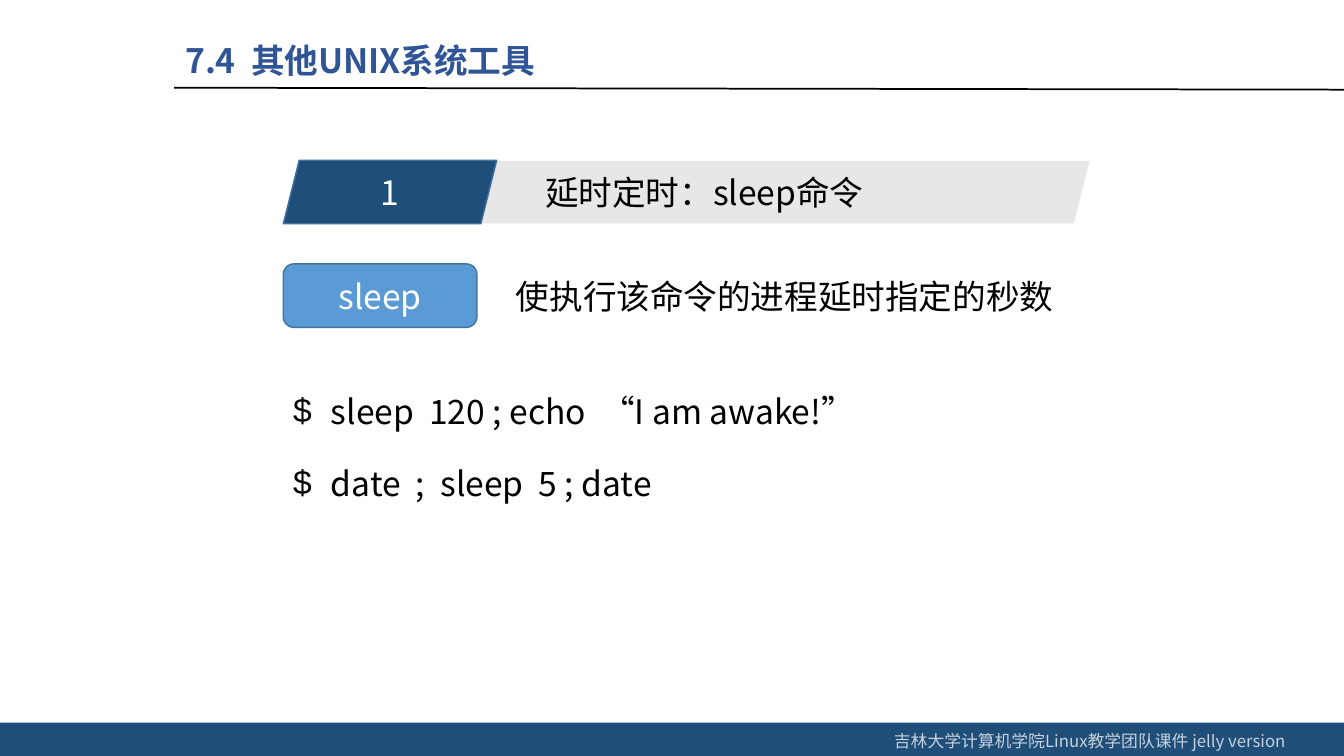
from dataclasses import dataclass
from typing import Optional

import pptx
import pptx.dml.color
import pptx.enum.shapes
import pptx.enum.text
import pptx.oxml
import pptx.oxml.ns
import pptx.util
from pptx.dml.color import RGBColor
from pptx.enum.shapes import MSO_SHAPE
from pptx.enum.text import MSO_ANCHOR, PP_ALIGN
from pptx.util import Cm, Pt

FONT = "Noto Sans CJK SC"
WHITE = RGBColor(0xFF, 0xFF, 0xFF)
BLACK = RGBColor(0x00, 0x00, 0x00)
NAVY = RGBColor(0x1F, 0x4E, 0x79)
BLUE = RGBColor(0x5B, 0x9B, 0xD5)
OUTLINE = RGBColor(0x43, 0x73, 0x9E)
TITLE_BLUE = RGBColor(0x2F, 0x55, 0x97)
GREY = RGBColor(0xD9, 0xD9, 0xD9)

LEFT = 7.14
COMMAND_TOP = 9.22
COMMAND_HEIGHT = 1.8
COMMANDS = ("sleep  120 ; echo  “I am awake!”", "date  ;  sleep  5 ; date")


@dataclass
class Area:
    """A rectangle in centimetres."""
    left: float
    top: float
    width: float
    height: float

    def lengths(self) -> tuple:
        return Cm(self.left), Cm(self.top), Cm(self.width), Cm(self.height)


@dataclass
class Label:
    text: str
    color: RGBColor = BLACK
    size: int = 24
    bold: bool = False
    opacity: int = 100
    align: PP_ALIGN = PP_ALIGN.LEFT


@dataclass
class Panel:
    kind: MSO_SHAPE
    area: Area
    fill: RGBColor
    label: Optional[Label] = None
    outline: Optional[RGBColor] = None
    opacity: int = 100


PANELS = (
    Panel(MSO_SHAPE.PARALLELOGRAM, Area(12.04, 4.06, 15.42, 1.57), GREY,
          Label("延时定时：sleep命令"), opacity=62),
    Panel(MSO_SHAPE.PARALLELOGRAM, Area(LEFT, 4.04, 5.38, 1.6), NAVY,
          Label("1", WHITE, align=PP_ALIGN.CENTER), OUTLINE),
    Panel(MSO_SHAPE.ROUNDED_RECTANGLE, Area(LEFT, 6.65, 4.88, 1.6), BLUE,
          Label("sleep", WHITE, align=PP_ALIGN.CENTER), OUTLINE),
)


def set_opacity(properties, percent: int) -> None:
    """Make the solid fill below the given XML element partly transparent."""
    if percent < 100:
        color = properties.find(".//" + pptx.oxml.ns.qn("a:srgbClr"))
        alpha = pptx.oxml.ns.qn("a:alpha")
        color.makeelement(alpha)
        color.append(color.makeelement(alpha, {"val": str(percent * 1000)}))


def add_label(para, label: Label) -> None:
    para.alignment = label.align
    span = para.add_run()
    span.text = label.text
    span.font.name = FONT
    span.font.size = Pt(label.size)
    span.font.bold = label.bold
    span.font.color.rgb = label.color
    properties = span.font._element
    set_opacity(properties, label.opacity)
    east_asian = pptx.oxml.ns.qn("a:ea")
    properties.append(properties.makeelement(east_asian, {"typeface": FONT}))


def add_text(page, area: Area, label: Label, wrap: bool = True):
    box = page.shapes.add_textbox(*area.lengths())
    box.text_frame.word_wrap = wrap
    para = box.text_frame.paragraphs[0]
    add_label(para, label)
    return para


def add_panel(page, panel: Panel) -> None:
    shape = page.shapes.add_shape(panel.kind, *panel.area.lengths())
    shape.shadow.inherit = False
    shape.fill.solid()
    shape.fill.fore_color.rgb = panel.fill
    set_opacity(shape._element.spPr, panel.opacity)
    if panel.outline is None:
        shape.line.fill.background()
    else:
        shape.line.color.rgb = panel.outline
        shape.line.width = Pt(1)
    if panel.label is not None:
        shape.text_frame.vertical_anchor = MSO_ANCHOR.MIDDLE
        add_label(shape.text_frame.paragraphs[0], panel.label)


def add_title_rule(page) -> None:
    rule = page.shapes.add_connector(
        pptx.enum.shapes.MSO_CONNECTOR.STRAIGHT,
        Cm(4.39), Cm(2.21), Cm(33.87), Cm(2.26))
    rule.line.color.rgb = BLACK
    rule.line.width = Pt(1.25)
    properties = rule._element.spPr
    properties.append(properties.makeelement(pptx.oxml.ns.qn("a:effectLst")))


def add_command(page, row: int, text: str) -> None:
    top = COMMAND_TOP + row * COMMAND_HEIGHT
    para = add_text(page, Area(LEFT, top, 21.39, COMMAND_HEIGHT), Label(text))
    para.line_spacing = 1.5
    properties = para._p.get_or_add_pPr()
    properties.set("marL", str(Cm(0.95)))
    properties.set("indent", str(-Cm(0.95)))
    for tag, attributes in (("a:buFont", {"typeface": "Arial"}),
                            ("a:buChar", {"char": "$"})):
        properties.append(
            properties.makeelement(pptx.oxml.ns.qn(tag), attributes))


def main() -> None:
    deck = pptx.Presentation()
    deck.slide_width, deck.slide_height = Cm(33.87), Cm(19.05)
    page = deck.slides.add_slide(deck.slide_layouts[6])

    add_panel(page, Panel(MSO_SHAPE.RECTANGLE,
                          Area(0, 18.21, 33.87, 0.84), NAVY))
    add_title_rule(page)
    add_text(page, Area(22.28, 18.29, 11.51, 0.76),
             Label("吉林大学计算机学院Linux教学团队课件 jelly version",
                   WHITE, size=12, opacity=75))
    add_text(page, Area(4.42, 0.89, 19.53, 1.27),
             Label("7.4  其他UNIX系统工具", TITLE_BLUE, bold=True))
    for panel in PANELS:
        add_panel(page, panel)
    add_text(page, Area(12.75, 6.83, 14.05, 1.27),
             Label("使执行该命令的进程延时指定的秒数"), wrap=False)
    for row, command in enumerate(COMMANDS):
        add_command(page, row, command)

    deck.save("out.pptx")


if __name__ == "__main__":
    main()
